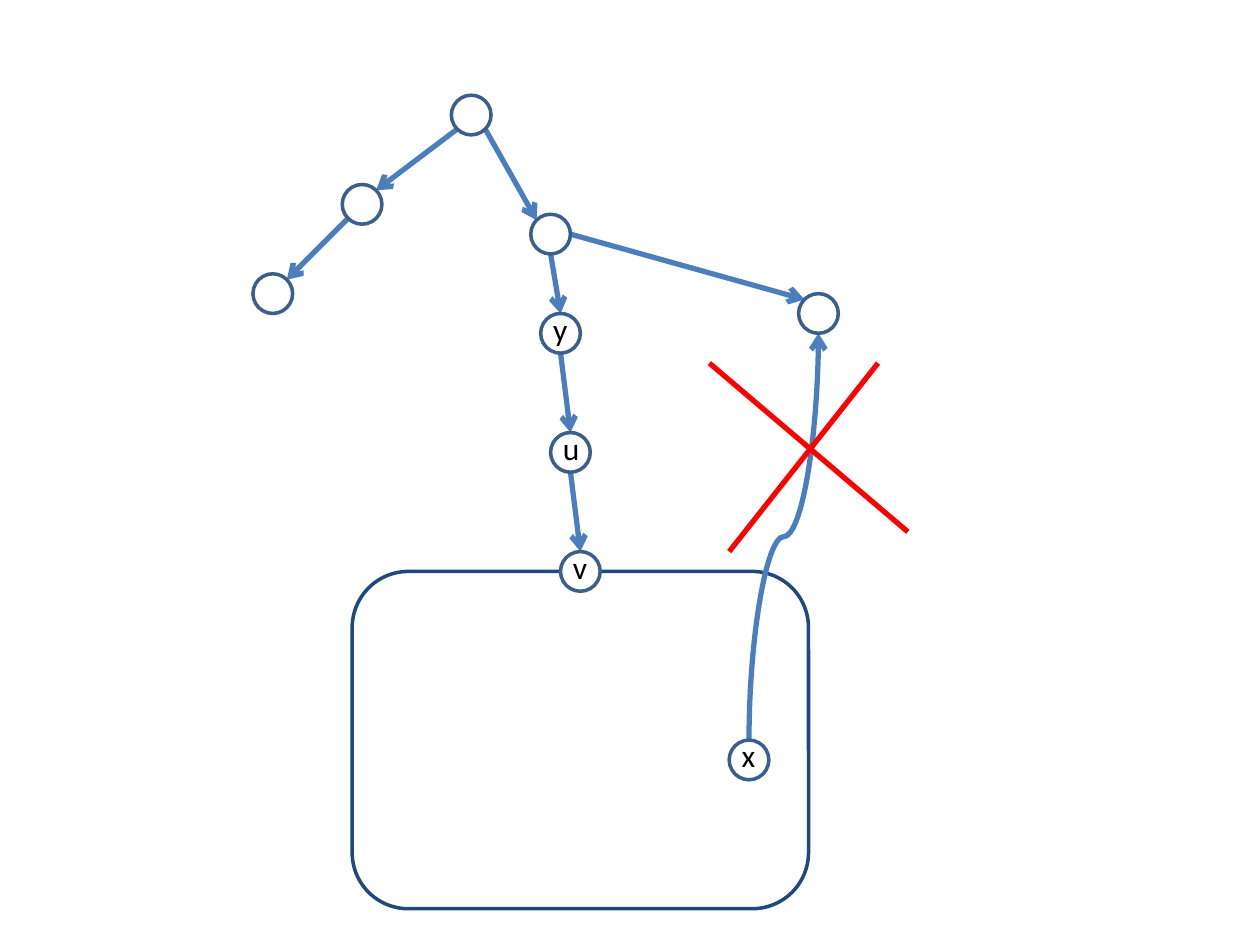
"""Draw a tree whose node x inside a block may not link back to an outer node."""
import pptx
import pptx.util
import pptx.dml.color
import pptx.enum.shapes
import pptx.enum.text
import pptx.oxml.ns
import lxml.etree

Cm, Pt = pptx.util.Cm, pptx.util.Pt
KIND = pptx.enum.shapes.MSO_SHAPE
LINK = pptx.enum.shapes.MSO_CONNECTOR

SIZE = 0.8
NODES = {
    "root": (9.5, 2.32), "left": (7.3, 4.12), "leaf": (5.5, 5.92),
    "mid": (11.1, 4.72), "y": (11.3, 6.72), "u": (11.5, 9.12),
    "v": (11.7, 11.52), "x": (15.1, 15.32), "right": (16.5, 6.32),
}
EDGES = [
    ("root", "sw", "left", "ne"), ("left", "sw", "leaf", "ne"),
    ("root", "se", "mid", "nw"), ("mid", "s", "y", "n"),
    ("y", "s", "u", "n"), ("u", "s", "v", "n"),
    ("mid", "e", "right", "nw"),
]
BLOCK = (7.1, 11.52, 9.2, 6.8)
CROSS = [((17.7, 7.32), (14.7, 11.12)), ((14.3, 7.32), (18.3, 10.72))]
RIM, EDGE, FRAME, RED = "3A5F8C", "4B7EBC", "1F497D", "FF0000"


def color(code):
    return pptx.dml.color.RGBColor.from_string(code)


def shape(kind, left, top, wide, high, rim):
    item = slide.shapes.add_shape(kind, Cm(left), Cm(top), Cm(wide), Cm(high))
    item.shadow.inherit = False
    item.fill.solid()
    item.fill.fore_color.rgb = color("FFFFFF")
    item.line.color.rgb = color(rim)
    item.line.width = Pt(2)


def site(name, side):
    """Return the point on a node's rim that faces a compass side."""
    dx = ("e" in side) - ("w" in side)
    dy = ("s" in side) - ("n" in side)
    reach = SIZE / 2 / (dx * dx + dy * dy) ** 0.5
    return NODES[name][0] + dx * reach, NODES[name][1] + dy * reach


def link(start, end, hue=EDGE, arrow=True, kind=LINK.STRAIGHT):
    item = slide.shapes.add_connector(kind, *[Cm(n) for n in (*start, *end)])
    item.line.color.rgb = color(hue)
    item.line.width = Pt(3)
    tag = pptx.oxml.ns.qn
    if arrow:
        tail = lxml.etree.SubElement(item.line._get_or_add_ln(), tag("a:tailEnd"))
        tail.set("type", "arrow")
    lxml.etree.SubElement(item._element.spPr, tag("a:effectLst"))
    return item


def curve(start, end):
    """Draw a curved link that leaves and arrives upright."""
    item = link(start, end, kind=LINK.CURVE)
    wide, high = abs(end[1] - start[1]), abs(end[0] - start[0])
    item.left = Cm((start[0] + end[0] - wide) / 2)
    item.top = Cm((start[1] + end[1] - high) / 2)
    item.width, item.height = Cm(wide), Cm(high)
    frame = item._element.spPr.find(pptx.oxml.ns.qn("a:xfrm"))
    for key, value in (("rot", "5400000"), ("flipH", "1"), ("flipV", "1")):
        frame.set(key, value)


def text(words, left, top, wide, high, size=18, font="Calibri", hue="000000"):
    box = slide.shapes.add_textbox(Cm(left), Cm(top), Cm(wide), Cm(high))
    frame = box.text_frame
    frame.word_wrap = False
    frame.auto_size = pptx.enum.text.MSO_AUTO_SIZE.SHAPE_TO_FIT_TEXT
    run = frame.paragraphs[0].add_run()
    run.text = words
    run.font.size, run.font.name = Pt(size), font
    run.font.color.rgb = color(hue)


deck = pptx.Presentation()
deck.slide_width, deck.slide_height = Cm(25.4), Cm(19.05)
slide = deck.slides.add_slide(deck.slide_layouts[6])

shape(KIND.ROUNDED_RECTANGLE, *BLOCK, FRAME)
for one, out, two, into in EDGES:
    link(site(one, out), site(two, into))
curve(site("x", "n"), site("right", "s"))
for name, (x, y) in NODES.items():
    left, top = x - SIZE / 2, y - SIZE / 2
    shape(KIND.OVAL, left, top, SIZE, SIZE, RIM)
    if len(name) == 1:
        text(name, left, top - 0.2, 0.82, 1.02)
for start, end in CROSS:
    link(start, end, hue=RED, arrow=False)

deck.save("out.pptx")
